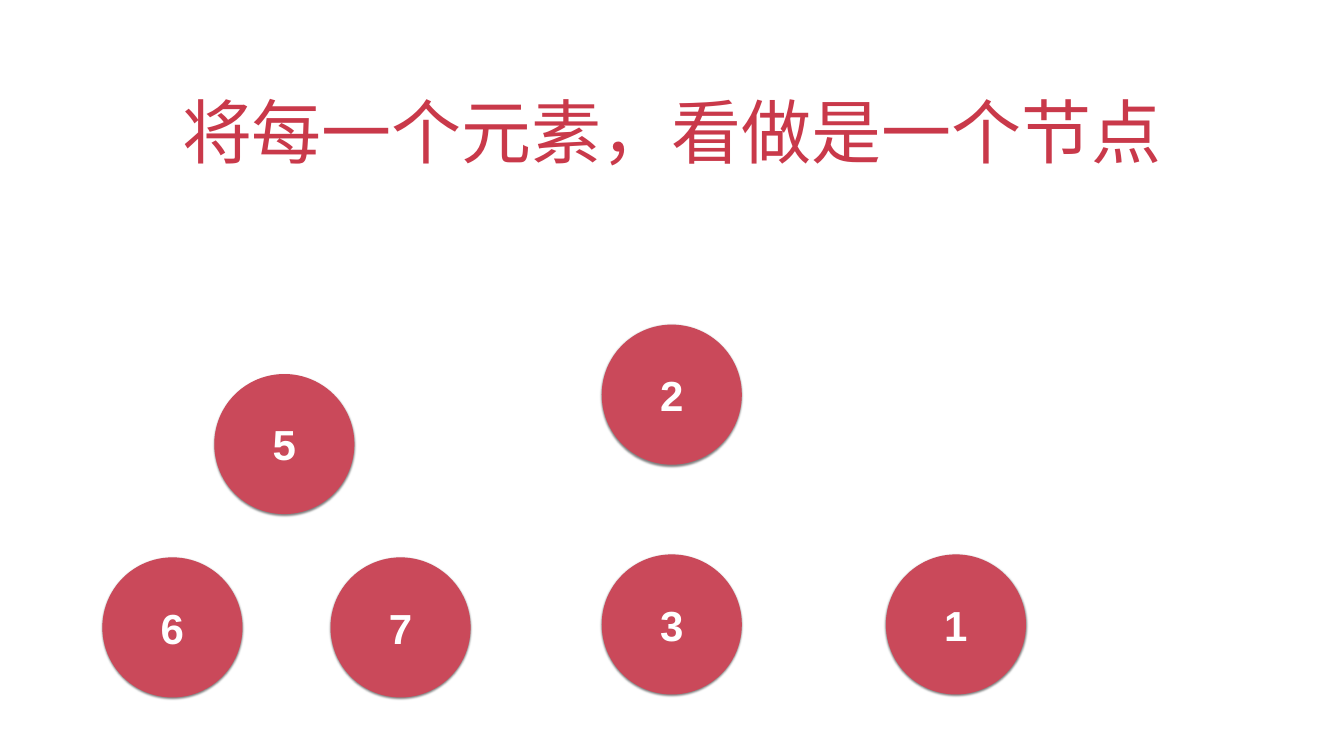
"""Builds a slide that shows each element of a collection as a node."""
from dataclasses import dataclass

from lxml.etree import SubElement
from pptx import Presentation
from pptx.dml.color import RGBColor
from pptx.enum.shapes import MSO_SHAPE as Shape
from pptx.enum.text import MSO_ANCHOR as Anchor, PP_ALIGN as Align
from pptx.oxml.ns import qn
from pptx.util import Cm, Pt


@dataclass(frozen=True)
class Theme:
    """Colours, type and shared measures of the slide."""
    title_color: str = "C9394A"
    node_color: str = "CA495A"
    node_text: str = "FFFFFF"
    background: str = "FFFFFF"
    shadow_color: str = "000000"
    font: str = "Arial"
    title_size: int = 100
    node_size: int = 60
    node_diameter: float = 7.06
    inset: float = 0.15


def write_text(frame, text, *, font, size, color, inset, bold=False, anchor=Anchor.MIDDLE):
    """Write one centred paragraph into a text frame."""
    frame.word_wrap = True
    frame.vertical_anchor = anchor
    frame.margin_left = frame.margin_right = Cm(inset)
    frame.margin_top = frame.margin_bottom = Cm(inset)
    paragraph = frame.paragraphs[0]
    paragraph.alignment = Align.CENTER
    run = paragraph.add_run()
    run.text = text
    run.font.name = font
    run.font.size = Pt(size)
    run.font.bold = bold
    run.font.color.rgb = RGBColor.from_string(color)


class NodeSlide:
    """Holds the theme and the current slide."""

    def __init__(self, slide, theme):
        """Keep the slide and paint its background."""
        self.slide = slide
        self.theme = theme
        fill = slide.background.fill
        fill.solid()
        fill.fore_color.rgb = RGBColor.from_string(theme.background)

    def title(self, text, left, top, width, height):
        """Add the heading, resting on the bottom of its box."""
        theme = self.theme
        box = self.slide.shapes.add_textbox(Cm(left), Cm(top), Cm(width), Cm(height))
        write_text(box.text_frame, text, font=theme.font, size=theme.title_size,
                   color=theme.title_color, inset=theme.inset, anchor=Anchor.BOTTOM)

    def node(self, shapes, label, left, top):
        """Add one labelled circle to a shape collection."""
        theme = self.theme
        diameter = Cm(theme.node_diameter)
        shape = shapes.add_shape(Shape.OVAL, Cm(left), Cm(top), diameter, diameter)
        shape.fill.solid()
        shape.fill.fore_color.rgb = RGBColor.from_string(theme.node_color)
        shape.line.fill.background()
        self.shadow(shape)
        write_text(shape.text_frame, label, font=theme.font, size=theme.node_size,
                   color=theme.node_text, inset=theme.inset, bold=True)

    def group(self, nodes):
        """Add several nodes as one group."""
        group = self.slide.shapes.add_group_shape()
        for node in nodes:
            self.node(group.shapes, *node)

    def shadow(self, shape):
        """Give a shape a soft shadow straight below it."""
        shape.shadow.inherit = False
        effects = shape._element.spPr.find(qn("a:effectLst"))
        outer = SubElement(effects, qn("a:outerShdw"), blurRad=str(Pt(3)),
                           dist=str(Pt(2)), dir="5400000", rotWithShape="0")
        color = SubElement(outer, qn("a:srgbClr"), val=self.theme.shadow_color)
        SubElement(color, qn("a:alpha"), val="50000")


def main():
    """Build and save the presentation."""
    presentation = Presentation()
    presentation.slide_width = Cm(67.74)
    presentation.slide_height = Cm(38.1)
    slide = presentation.slides.add_slide(presentation.slide_layouts[6])
    page = NodeSlide(slide, Theme())

    page.title("将每一个元素，看做是一个节点", 4.93, 3.23, 57.86, 5.64)
    column, row = 30.33, 27.94
    for node in (("3", column, row), ("2", column, 16.36), ("1", 44.65, row)):
        page.node(slide.shapes, *node)
    child_row = 28.09
    page.group([("5", 10.8, 18.85), ("6", 5.16, child_row), ("7", 16.66, child_row)])

    presentation.save("out.pptx")


if __name__ == "__main__":
    main()
